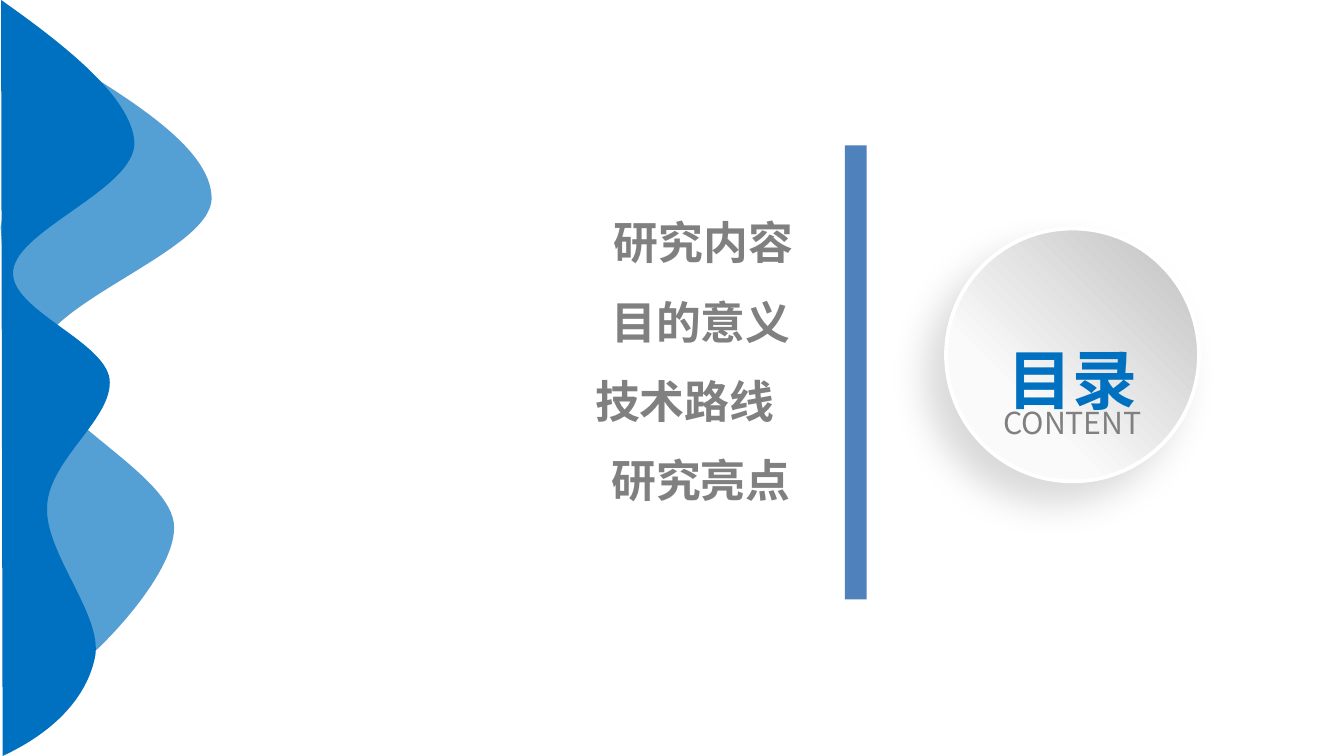
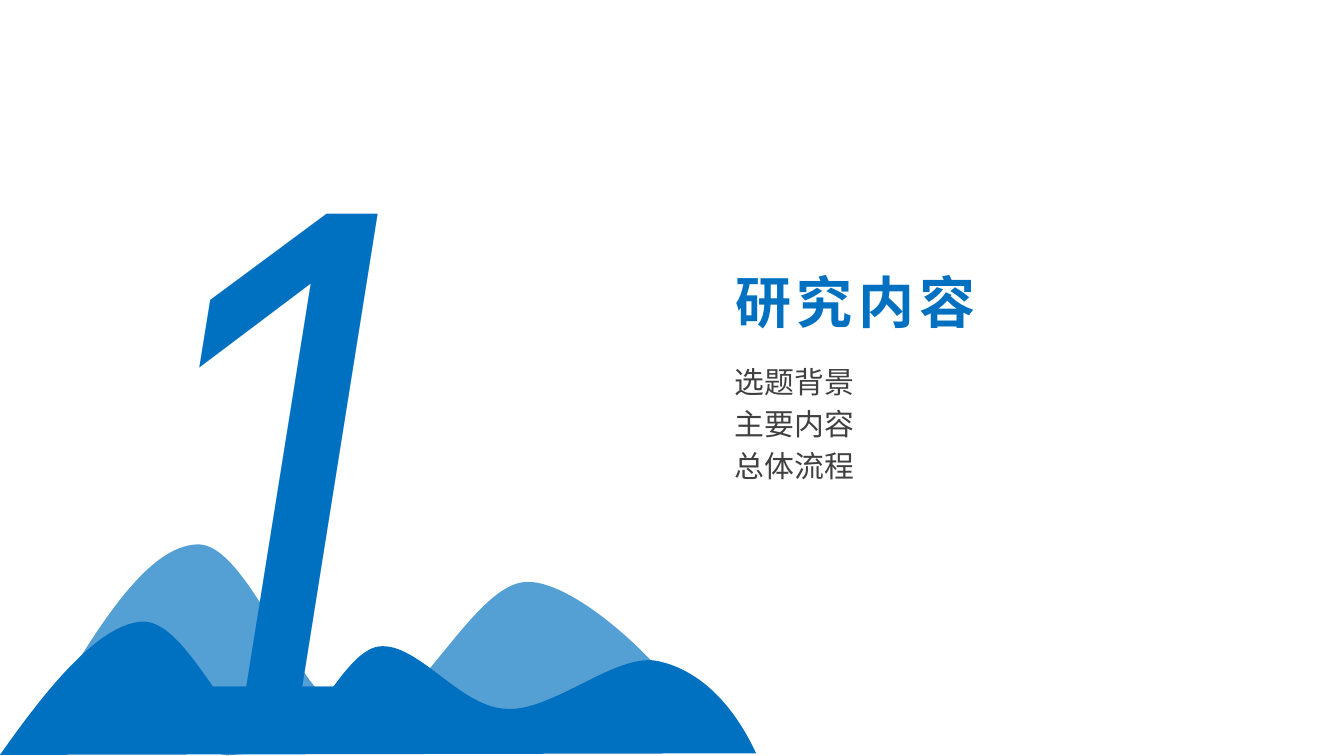
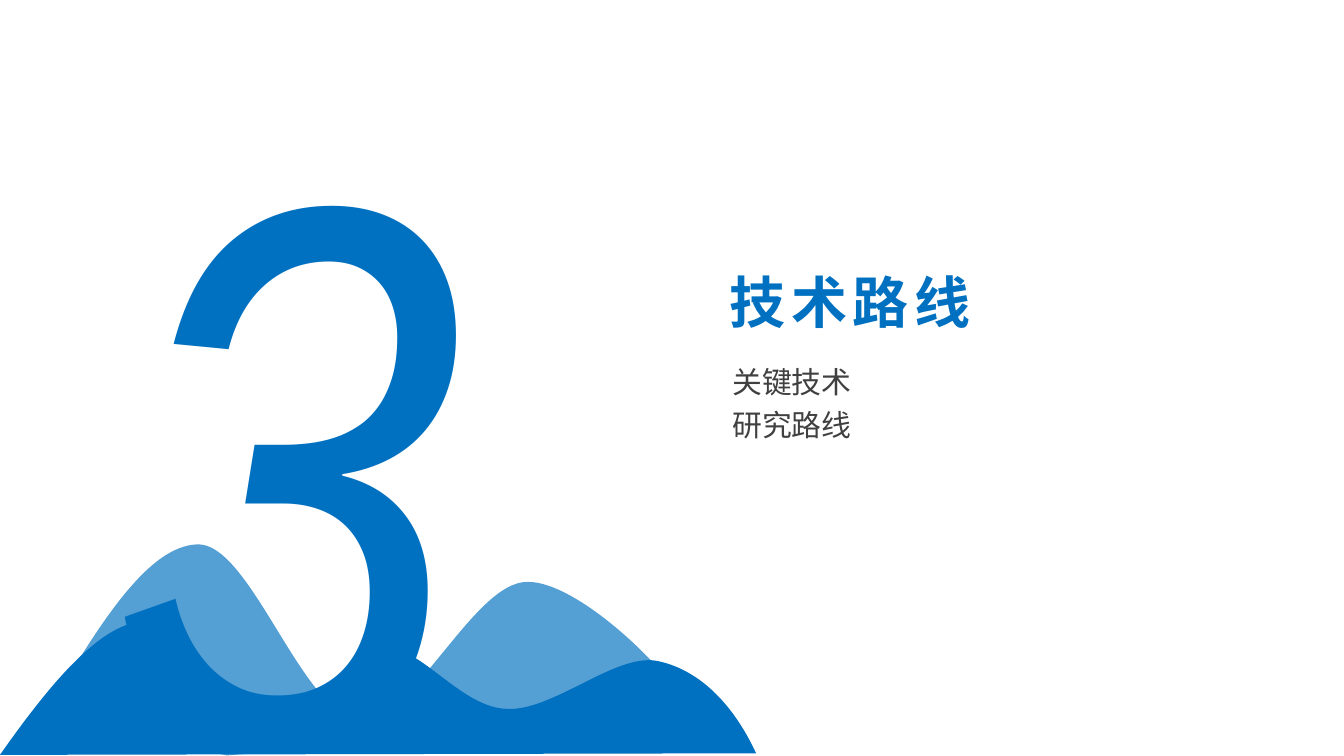
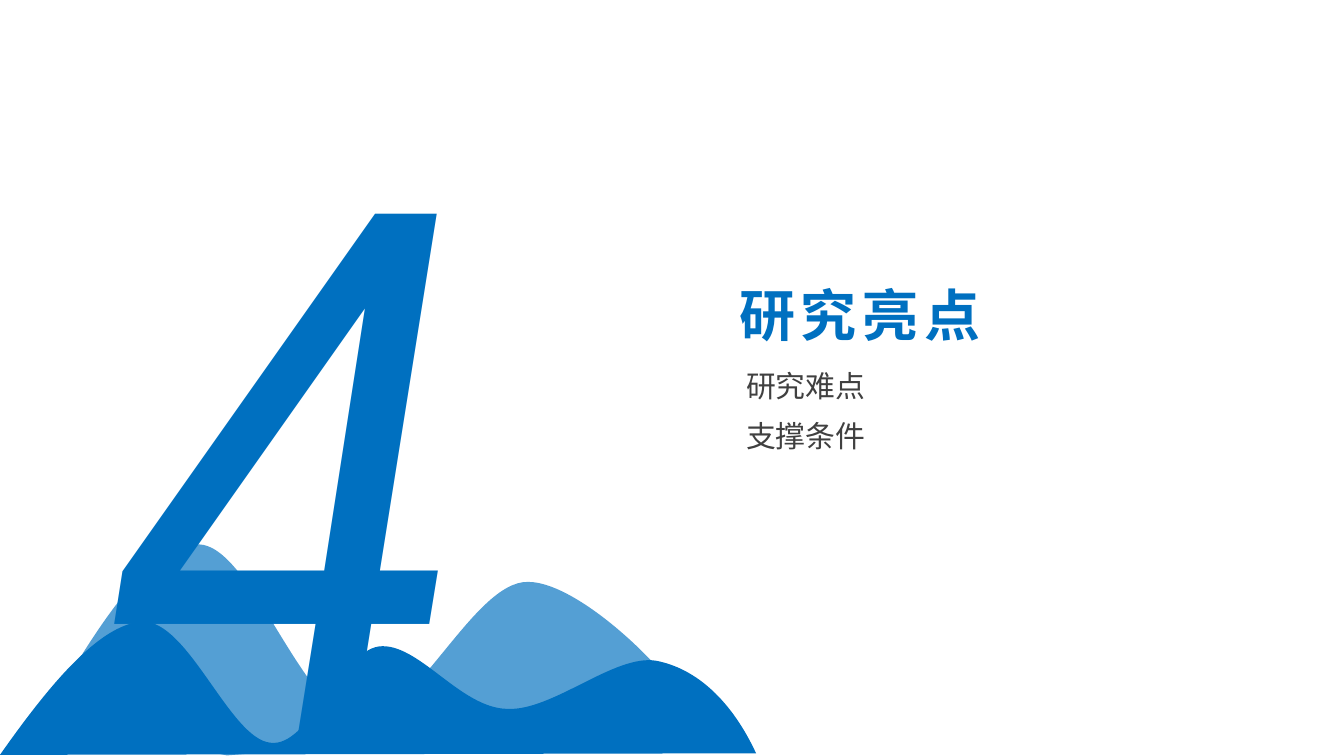
from collections import namedtuple
from dataclasses import dataclass

from lxml.etree import SubElement
from pptx import Presentation
from pptx.dml.color import RGBColor
from pptx.enum.shapes import MSO_SHAPE as Shape
from pptx.enum.text import MSO_ANCHOR as Anchor, MSO_AUTO_SIZE as AutoSize, PP_ALIGN as Align
from pptx.oxml import parse_xml
from pptx.oxml.ns import nsdecls, qn
from pptx.util import Cm, Pt

TITLE_ONLY = 5


@dataclass(frozen=True)
class Theme:
    blue: str = "0070C0"
    bar: str = "4F81BD"
    white: str = "FFFFFF"
    disc_dark: str = "BFBFBF"
    disc_light: str = "FAFAFA"
    grey: str = "808080"
    ink: str = "404040"
    font: str = "Noto Sans CJK TC"
    digit_font: str = "Arial Narrow"
    contents_title: int = 60
    contents_subtitle: int = 28
    contents_entry: int = 24
    section_title: int = 30
    topic: int = 16
    digit: int = 413


THEME = Theme()


class Box(namedtuple("Box", "left top width height")):
    """A rectangle in centimetres."""

    def inner(self, left, top, width, height):
        return Box(self.left + left, self.top + top, width, height)

    def lengths(self):
        return [Cm(value) for value in self]


# Outlines in centimetres: a start, Bézier curves (two controls and an end), straight corners.
Ridge = namedtuple("Ridge", "offset size start curves corners alpha")
BACK_RIDGE = Ridge(
    (0.84, 0), (12.22, 3.99), (0, 3.25),
    [((0.97, 1.63), (1.93, 0), (2.92, 0)),
     ((3.91, 0.03), (4.88, 3.2), (5.92, 3.3)),
     ((6.96, 3.43), (8.1, 0.69), (9.14, 0.71)),
     ((10.21, 0.71), (12.27, 2.84), (12.22, 3.33))],
    [(8.13, 3.61), (3.45, 3.99), (1.78, 3.66), (0, 3.25)], 67)
FRONT_RIDGE = Ridge(
    (0, 1.46), (14.29, 2.52), (0, 2.52),
    [((0.86, 1.3), (1.85, 0.05), (2.69, 0)),
     ((3.56, -0.03), (4.34, 2.21), (5.11, 2.29)),
     ((5.84, 2.39), (6.43, 0.58), (7.16, 0.47)),
     ((7.9, 0.38), (8.69, 1.63), (9.58, 1.65)),
     ((10.44, 1.7), (11.61, 0.61), (12.4, 0.74)),
     ((13.18, 0.89), (13.84, 1.52), (14.29, 2.49))],
    [], 100)

SLIDE = Box(0, 0, 25.4, 14.29)
RANGE = Box(0, 10.29, 14.29, 4)
TURNED_RANGE = Box(0, 0, 14.29, 4)
DISC = Box(17.88, 4.32, 4.78, 4.78)
CONTENTS = Box(7.01, 3.94, 8.28, 5.79)
CONTENTS_BAR = Box(15.97, 2.75, 0.41, 8.58)

# Text, left and width within the contents box, alignment, indent
ENTRIES = [
    ("研究内容", 4.34, 3.94, Align.LEFT, 0),
    ("目的意义", 1.75, 6.43, Align.RIGHT, 0),
    ("技术路线", 0.91, 7.29, Align.LEFT, 3.08),
    ("研究亮点", 0, 8.18, Align.RIGHT, 0),
]

Section = namedtuple("Section", "digit digit_width title title_at topics topics_at topic_step")
SECTIONS = [
    Section("1", 6.12, "研究内容", (13.64, 4.93),
            ["选题背景", "主要内容", "总体流程"], (13.89, 6.88), 0.79),
    Section("3", 8.31, "技术路线", (13.54, 4.93),
            ["关键技术", "研究路线"], (13.84, 6.88), 0.81),
    Section("4", 7.9, "研究亮点", (13.72, 5.18),
            ["研究难点", "支撑条件"], (14.1, 6.96), 0.94),
]


def rgb(color):
    return RGBColor.from_string(color)


def fill_plain(shape, color, alpha=100):
    shape.shadow.inherit = False
    shape.line.fill.background()
    shape.fill.solid()
    shape.fill.fore_color.rgb = rgb(color)
    if alpha < 100:
        tint = shape._element.spPr.find(qn("a:solidFill"))[0]
        SubElement(tint, qn("a:alpha"), val=str(alpha * 1000))


def write(shape, text, size, color, bold=False, italic=False, font=THEME.font,
          align=Align.LEFT, anchor=Anchor.TOP, wrap=False, inset=None, spacing=None, indent=0):
    """Set the text of a shape and return the run properties for further settings."""
    frame = shape.text_frame
    frame.text = text
    frame.word_wrap = wrap
    frame.auto_size = AutoSize.SHAPE_TO_FIT_TEXT
    frame.vertical_anchor = anchor
    if inset is not None:
        frame.margin_left = frame.margin_right = Cm(inset)
        frame.margin_top = frame.margin_bottom = Cm(inset)
    paragraph = frame.paragraphs[0]
    paragraph.alignment = align
    if spacing:
        paragraph.line_spacing = spacing
    if indent:
        paragraph._p.get_or_add_pPr().set("marL", str(Cm(indent)))
    run = paragraph.runs[0]
    run.font.size = Pt(size)
    run.font.bold = bold
    run.font.italic = italic
    run.font.color.rgb = rgb(color)
    run.font.name = font
    properties = run._r.get_or_add_rPr()
    SubElement(properties, qn("a:ea"), typeface=font)
    return properties


def add_text(slide, box, text, size, color, **style):
    return write(slide.shapes.add_textbox(*box.lengths()), text, size, color, **style)


def set_title(slide, box, text, size, **style):
    title = slide.shapes.title
    title.left, title.top, title.width, title.height = box.lengths()
    return write(title, text, size, THEME.blue, bold=True, **style)


def bend(shape, curves):
    """Turn the first straight segments of a freeform into Bézier curves."""
    segments = list(shape._element.iter(qn("a:lnTo")))
    for segment, curve in zip(segments, curves):
        segment.tag = qn("a:cubicBezTo")
        segment.clear()
        for x, y in curve:
            SubElement(segment, qn("a:pt"), x=str(Cm(x)), y=str(Cm(y)))


def replace_segments(shape, curves):
    """Swap the first straight segments of a freeform for Bézier curves."""
    for segment, curve in zip(list(shape._element.iter(qn("a:lnTo"))), curves):
        points = "".join(f'<a:pt x="{Cm(x)}" y="{Cm(y)}"/>' for x, y in curve)
        segment.getparent().replace(segment, parse_xml(
            f'<a:cubicBezTo {nsdecls("a")}>{points}</a:cubicBezTo>'))


def add_ridge(slide, box, ridge, turned=False):
    """Draw a ridge along the box; turned stands it on the left edge."""
    outline = [end for _, _, end in ridge.curves] + ridge.corners
    builder = slide.shapes.build_freeform(*map(Cm, ridge.start))
    builder.add_line_segments([(Cm(x), Cm(y)) for x, y in outline],
                              close=bool(ridge.corners))
    left, top = ridge.offset
    mountain = builder.convert_to_shape(Cm(box.left + left), Cm(box.top + top))
    replace_segments(mountain, ridge.curves)
    fill_plain(mountain, THEME.blue, ridge.alpha)
    if turned:
        width, height = ridge.size
        center_x = box.left + box.height - top - height / 2
        center_y = box.top + left + width / 2
        mountain.left = Cm(center_x - width / 2)
        mountain.top = Cm(center_y - height / 2)
        mountain.rotation = 90


def add_disc(slide, box):
    disc = slide.shapes.add_shape(Shape.OVAL, *box.lengths())
    disc.fill.gradient()
    disc.fill.gradient_angle = 225
    stops = zip(disc.fill.gradient_stops, (THEME.disc_dark, THEME.disc_light), (0, 0.7))
    for stop, color, position in stops:
        stop.color.rgb = rgb(color)
        stop.position = position
    disc.line.color.rgb = rgb(THEME.white)
    disc.line.width = Pt(2)
    disc.shadow.inherit = False
    effects = disc._element.spPr.find(qn("a:effectLst"))
    shadow = SubElement(effects, qn("a:outerShdw"), blurRad=str(Pt(20)), dist=str(Pt(15)),
                        dir=str(135 * 60000), algn="tr", rotWithShape="0")
    shade = SubElement(shadow, qn("a:srgbClr"), val="000000")
    SubElement(shade, qn("a:alpha"), val="15000")


def add_heading_disc(slide, box):
    add_disc(slide, box)
    # The title stands on the disc, so it comes after it in the stacking order.
    slide.shapes._spTree.append(slide.shapes.title._element)
    style = dict(align=Align.CENTER, anchor=Anchor.MIDDLE, spacing=1.5)
    title = set_title(slide, box.inner(0.71, 0.84, 3.35, 2.51), "目录",
                      THEME.contents_title, **style)
    subtitle = add_text(slide, box.inner(0.56, 2.66, 3.66, 1.32), "CONTENT",
                        THEME.contents_subtitle, THEME.grey, **style)
    for properties in (title, subtitle):
        properties.set("baseline", "12000")


def add_entries(slide, box):
    step = 1.5
    for row, (text, left, width, align, indent) in enumerate(ENTRIES):
        add_text(slide, box.inner(left, row * step, width, 1.27), text, THEME.contents_entry,
                 THEME.grey, bold=True, align=align, wrap=row > 0, indent=indent)


def contents_slide(slide):
    add_ridge(slide, TURNED_RANGE, BACK_RIDGE, turned=True)
    add_heading_disc(slide, DISC)
    add_entries(slide, CONTENTS)
    add_ridge(slide, TURNED_RANGE, FRONT_RIDGE, turned=True)
    bar = slide.shapes.add_shape(Shape.RECTANGLE, *CONTENTS_BAR.lengths())
    fill_plain(bar, THEME.bar)


def add_digit(slide, box, digit):
    properties = add_text(slide, box, digit, THEME.digit, THEME.blue, italic=True,
                          font=THEME.digit_font)
    properties.insert(0, parse_xml(
        f'<a:ln {nsdecls("a")} w="{Pt(0.75)}"><a:solidFill>'
        f'<a:srgbClr val="{THEME.blue}"/></a:solidFill></a:ln>'))


def add_topics(slide, box, topics, step):
    for row, topic in enumerate(topics):
        add_text(slide, box.inner(0, row * step, box.width, 0.69), topic, THEME.topic,
                 THEME.ink, wrap=True, inset=0)


def section_slide(slide, section):
    title = set_title(slide, SLIDE.inner(*section.title_at, 5.21, 1.55), section.title,
                      THEME.section_title)
    title.set("spc", "300")
    for ridge in (BACK_RIDGE, FRONT_RIDGE):
        add_ridge(slide, RANGE, ridge)
    add_digit(slide, SLIDE.inner(1.84, -0.63, section.digit_width, 17.91), section.digit)
    add_topics(slide, SLIDE.inner(*section.topics_at, 5.21, 2.3), section.topics,
               section.topic_step)


def main():
    deck = Presentation()
    deck.slide_width, deck.slide_height = Cm(SLIDE.width), Cm(SLIDE.height)
    layout = deck.slide_layouts[TITLE_ONLY]
    contents_slide(deck.slides.add_slide(layout))
    for section in SECTIONS:
        section_slide(deck.slides.add_slide(layout), section)
    deck.save("out.pptx")


if __name__ == "__main__":
    main()
